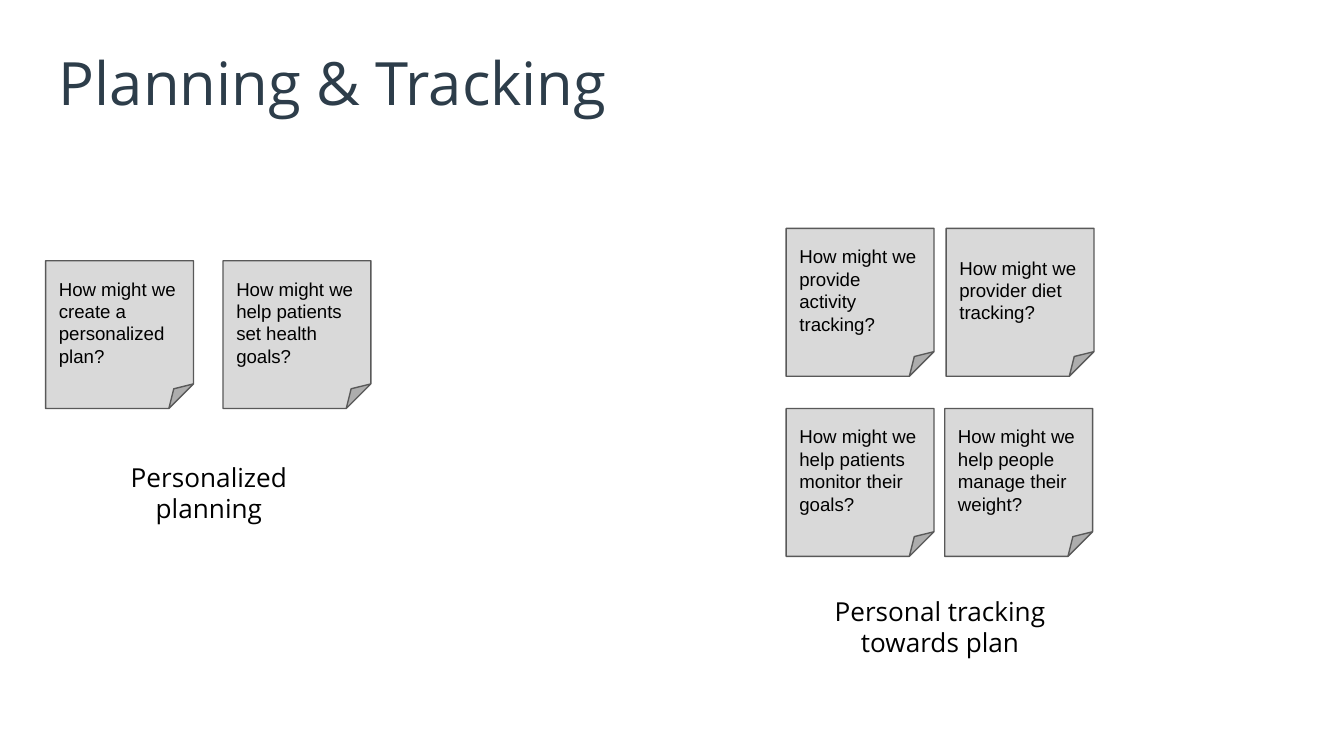
from pptx import Presentation
from pptx.dml.color import RGBColor
from pptx.enum import shapes, text
from pptx.util import Inches, Pt

COLORS = {"title": "2D3D4A", "text": "000000", "note": "D9D9D9", "edge": "595959"}

prs = Presentation()
prs.slide_width = Inches(10)
prs.slide_height = Inches(10 * 9 / 16)
s = prs.slides.add_slide(prs.slide_layouts[6])


def write(sp, words, font, size, color, align, anchor):
    tf = sp.text_frame
    tf.word_wrap = True
    tf.margin_left = tf.margin_right = tf.margin_top = tf.margin_bottom = Inches(0.1)
    tf.vertical_anchor = anchor
    tf.text = words
    p = tf.paragraphs[0]
    p.alignment = align
    r = p.runs[0]
    r.font.name = font
    r.font.size = Pt(size)
    r.font.color.rgb = RGBColor.from_string(COLORS[color])


labels = [
    ("Planning & Tracking", 0.34, 0.24, 9.32, 0.63, 32, "title", text.PP_ALIGN.LEFT),
    ("Personalized planning", 0.64, 3.33, 1.83, 0.53, 14, "text", text.PP_ALIGN.CENTER),
    ("Personal tracking towards plan", 6.08, 4.33, 1.83, 0.53, 14, "text", text.PP_ALIGN.CENTER),
]
for words, x, y, w, h, size, color, align in labels:
    sp = s.shapes.add_textbox(Inches(x), Inches(y), Inches(w), Inches(h))
    write(sp, words, "Open Sans", size, color, align, text.MSO_ANCHOR.TOP)

note_size = 1.1
note_rows = [
    (0.34, 1.94, 1.32, ["create a personalized plan?", "help patients set health goals?"]),
    (5.85, 1.7, 1.19, ["provide activity tracking?", "provider diet tracking?"]),
    (5.85, 3.04, 1.18, ["help patients monitor their goals?", "help people manage their weight?"]),
]
for left, top, step, questions in note_rows:
    for i, question in enumerate(questions):
        sp = s.shapes.add_shape(
            shapes.MSO_SHAPE.FOLDED_CORNER,
            Inches(left + i * step), Inches(top), Inches(note_size), Inches(note_size),
        )
        sp.shadow.inherit = False
        sp.fill.solid()
        sp.fill.fore_color.rgb = RGBColor.from_string(COLORS["note"])
        sp.line.color.rgb = RGBColor.from_string(COLORS["edge"])
        sp.line.width = Pt(0.75)
        write(sp, f"How might we {question}", "Arial", 10, "text",
              text.PP_ALIGN.LEFT, text.MSO_ANCHOR.MIDDLE)

prs.save("out.pptx")
